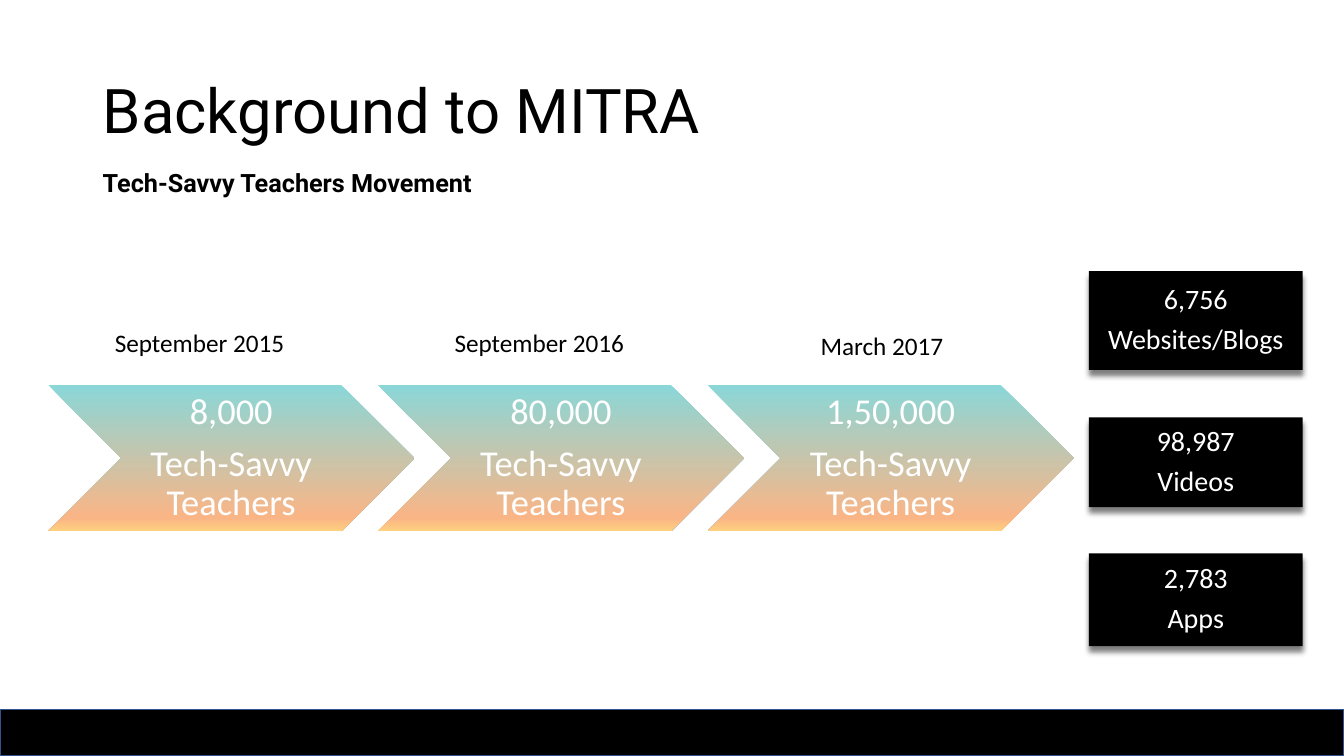
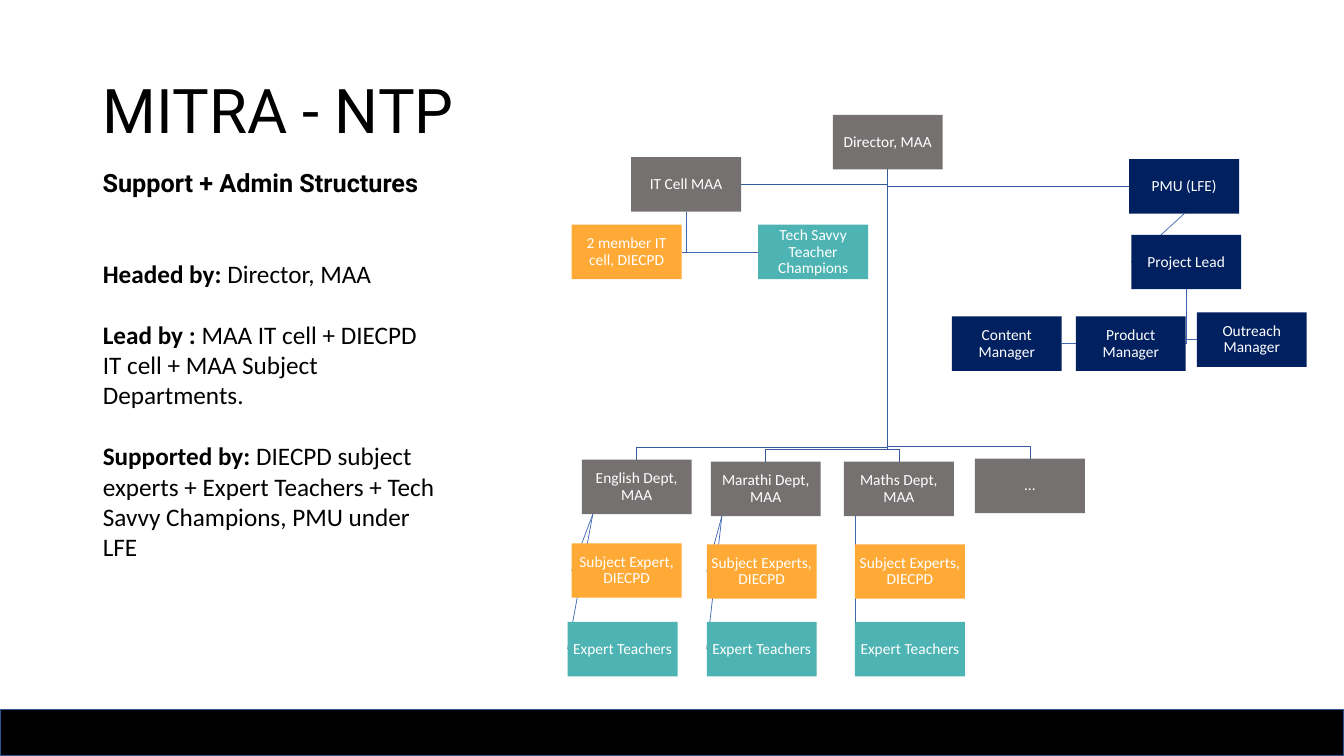
from dataclasses import dataclass

from lxml.etree import SubElement
from pptx import Presentation
from pptx.dml.color import RGBColor
from pptx.enum.shapes import MSO_CONNECTOR as CONNECTOR, MSO_SHAPE as SHAPE
from pptx.enum.text import MSO_ANCHOR as ANCHOR, MSO_AUTO_SIZE as AUTO_SIZE, PP_ALIGN as ALIGN
from pptx.oxml.ns import qn
from pptx.util import Inches, Pt

BLACK, WHITE = "000000", "FFFFFF"
GREY, NAVY, ORANGE, TEAL = "767171", "002060", "FFAA37", "4EB4B3"
BAND_EDGE, TRUNK_LINE, BRANCH_LINE = "325491", "365B9D", "3E67B2"
CHEVRON_STOPS = [(0, "8AD7D8"), (91, "FAB586"), (100, "FFD07F")]
HEADING_FONT, BODY_FONT = "Roboto", "Calibri"
PAGE_WIDTH, PAGE_HEIGHT = 13.33, 7.5
MARGIN = 0.92
NODE_WIDTH, NODE_HEIGHT = 1.09, 0.54


@dataclass
class Node:
    text: str
    left: float
    top: float
    colour: str

    @property
    def right(self):
        return self.left + NODE_WIDTH

    @property
    def bottom(self):
        return self.top + NODE_HEIGHT

    @property
    def centre(self):
        return self.left + NODE_WIDTH / 2

    @property
    def middle(self):
        return self.top + NODE_HEIGHT / 2


def rgb(colour):
    return RGBColor.from_string(colour)


def write_text(shape, paragraphs, size=18, colour=BLACK, font=BODY_FONT, bold=False,
               align=ALIGN.LEFT, spacing=1.0, gap=0, anchor=ANCHOR.TOP,
               insets=(0.1, 0.05), wrap=True):
    frame = shape.text_frame
    frame.word_wrap = wrap
    frame.auto_size = AUTO_SIZE.NONE
    frame.vertical_anchor = anchor
    frame.margin_left = frame.margin_right = Inches(insets[0])
    frame.margin_top = frame.margin_bottom = Inches(insets[1])
    for index, content in enumerate(paragraphs):
        para = frame.add_paragraph() if index else frame.paragraphs[0]
        para.alignment = align
        para.line_spacing = spacing
        para.space_before = Pt(gap if index else 0)
        para.space_after = Pt(0)
        spans = [(content, bold)] if isinstance(content, str) else content
        for text, is_bold in spans:
            span = para.add_run()
            span.text = text
            span.font.name = font
            span.font.size = Pt(size)
            span.font.bold = is_bold
            span.font.color.rgb = rgb(colour)


def write_centred(shape, paragraphs, size, **options):
    write_text(shape, paragraphs, size=size, colour=WHITE, align=ALIGN.CENTER,
               spacing=0.9, gap=round(size * 0.35), anchor=ANCHOR.MIDDLE, **options)


def place(shape, left, top, width, height):
    shape.left, shape.top = Inches(left), Inches(top)
    shape.width, shape.height = Inches(width), Inches(height)


def add_label(page, text, left, top, width, **options):
    box = page.shapes.add_textbox(Inches(left), Inches(top), Inches(width), Inches(0.4))
    write_text(box, [text], **options)


def add_block(page, kind, left, top, width, height, fill=None, line=None):
    block = page.shapes.add_shape(kind, Inches(left), Inches(top), Inches(width), Inches(height))
    block.shadow.inherit = False
    if fill:
        block.fill.solid()
        block.fill.fore_color.rgb = rgb(fill)
    if line:
        block.line.color.rgb = rgb(line)
        block.line.width = Pt(1)
    else:
        block.line.fill.background()
    return block


def add_colour_element(parent, tag, colour, **attributes):
    element = SubElement(parent, qn(tag), **attributes)
    SubElement(element, qn("a:srgbClr"), val=colour)


def add_chevron(page, left, count):
    chevron = add_block(page, SHAPE.CHEVRON, left, 3.82, 3.63, 1.45)
    chevron.fill.gradient()
    chevron.fill.gradient_angle = 270
    stops = chevron.element.spPr.find(qn("a:gradFill")).find(qn("a:gsLst"))
    for stop in list(stops):
        stops.remove(stop)
    for position, colour in CHEVRON_STOPS:
        add_colour_element(stops, "a:gs", colour, pos=str(position * 1000))
    write_centred(chevron, [count, "Tech-Savvy Teachers"], 26, insets=(0.08, 0.04))


def add_output_card(page, top, height, count, name):
    card = add_block(page, SHAPE.RECTANGLE, 10.8, top, 2.12, height, fill=BLACK)
    effects = card.element.spPr.find(qn("a:effectLst"))
    add_colour_element(effects, "a:outerShdw", "808080", blurRad=str(Pt(4)),
                       dist=str(Pt(4)), dir="5400000", rotWithShape="0")
    write_centred(card, [count, name], 20)


def add_straight(page, start, end):
    connector = page.shapes.add_connector(CONNECTOR.STRAIGHT, *map(Inches, start + end))
    connector.line.color.rgb = rgb(BRANCH_LINE)
    connector.line.width = Pt(0.5)
    SubElement(connector.element.spPr, qn("a:effectLst"))


def add_route(page, points, colour):
    start, *rest = [(Inches(x), Inches(y)) for x, y in points]
    builder = page.shapes.build_freeform(*start)
    builder.add_line_segments(rest, close=False)
    route = builder.convert_to_shape()
    route.shadow.inherit = False
    route.fill.background()
    route.line.color.rgb = rgb(colour)
    route.line.width = Pt(0.5)


def link_beside(page, parent, child, colour=BRANCH_LINE):
    edge = child.left if child.left > parent.centre else child.right
    add_route(page, [(parent.centre, parent.bottom), (parent.centre, child.middle),
                     (edge, child.middle)], colour)


def link_below(page, parent, child):
    bend = child.top - 0.12
    add_route(page, [(parent.centre, parent.bottom), (parent.centre, bend),
                     (child.centre, bend), (child.centre, child.top)], TRUNK_LINE)


def add_node(page, node):
    block = add_block(page, SHAPE.RECTANGLE, node.left, node.top,
                      NODE_WIDTH, NODE_HEIGHT, fill=node.colour)
    write_centred(block, [node.text], 11, insets=(0.01, 0.01))


def add_page(deck, layout, title, subtitle):
    page = deck.slides.add_slide(deck.slide_layouts[layout])
    place(page.shapes.title, MARGIN, 0.4, 11.5, 1.45)
    write_text(page.shapes.title, [title], size=44, font=HEADING_FONT,
               spacing=0.9, anchor=ANCHOR.MIDDLE)
    add_block(page, SHAPE.RECTANGLE, 0, 7.04, PAGE_WIDTH, 0.46, fill=BLACK, line=BAND_EDGE)
    add_label(page, subtitle, MARGIN, 1.61, 3.94, font=HEADING_FONT, bold=True, wrap=False)
    return page


def build_background(deck):
    page = add_page(deck, 5, "Background to MITRA", "Tech-Savvy Teachers Movement")
    milestones = [
        ("September 2015", 1.04, 3.2, "8,000"),
        ("September 2016", 4.41, 3.2, "80,000"),
        ("March 2017", 8.04, 3.23, "1,50,000"),
    ]
    for index, (date, left, top, count) in enumerate(milestones):
        add_chevron(page, 0.48 + index * 3.27, count)
        add_label(page, date, left, top, 2.17)
    for card in [
        (2.69, 0.98, "6,756", "Websites/Blogs"),
        (4.14, 0.89, "98,987", "Videos"),
        (5.49, 0.92, "2,783", "Apps"),
    ]:
        add_output_card(page, *card)


def write_roles(page):
    body = page.placeholders[1]
    place(body, MARGIN, 2.51, 3.51, 3.43)
    roles = [
        ("Headed by: ", "Director, MAA"),
        ("Lead by : ", "MAA IT cell + DIECPD IT cell + MAA Subject Departments."),
        ("Supported by: ", "DIECPD subject experts + Expert Teachers + "
                           "Tech Savvy Champions, PMU under LFE"),
    ]
    write_text(body, [[(role, True), (people, False)] for role, people in roles], gap=22)
    for para in body.text_frame.paragraphs:
        properties = para._p.get_or_add_pPr()
        properties.set("marL", "0")
        properties.set("indent", "0")
        SubElement(properties, qn("a:buNone"))


def build_structure(deck):
    page = add_page(deck, 1, "MITRA - NTP", "Support + Admin Structures")
    write_roles(page)

    director = Node("Director, MAA", 8.26, 1.14, GREY)
    it_cell = Node("IT Cell MAA", 6.26, 1.56, GREY)
    it_team = [Node("2 member IT cell, DIECPD", 5.67, 2.23, ORANGE),
               Node("Tech Savvy Teacher Champions", 7.52, 2.23, TEAL)]
    pmu = Node("PMU (LFE)", 11.2, 1.58, NAVY)
    lead = Node("Project Lead", 11.22, 2.33, NAVY)
    managers = [Node("Content Manager", 9.44, 3.14, NAVY),
                Node("Product Manager", 10.67, 3.14, NAVY),
                Node("Outreach Manager", 11.87, 3.1, NAVY)]
    departments = [
        (Node("English Dept, MAA", 5.77, 4.56, GREY),
         [Node("Subject Expert, DIECPD", 5.67, 5.39, ORANGE),
          Node("Expert Teachers", 5.63, 6.17, TEAL)]),
        (Node("Marathi Dept, MAA", 7.05, 4.58, GREY),
         [Node("Subject Experts, DIECPD", 7.01, 5.4, ORANGE),
          Node("Expert Teachers", 7.01, 6.17, TEAL)]),
        (Node("Maths Dept, MAA", 8.37, 4.58, GREY),
         [Node("Subject Experts, DIECPD", 8.48, 5.4, ORANGE),
          Node("Expert Teachers", 8.48, 6.17, TEAL)]),
        (Node("...", 9.67, 4.55, GREY), []),
    ]

    for child in (it_cell, pmu):
        link_beside(page, director, child, TRUNK_LINE)
    for parent, children in ((it_cell, it_team), (lead, managers)):
        for child in children:
            link_beside(page, parent, child)
    add_straight(page, (pmu.centre, pmu.bottom), (lead.left, lead.middle))
    nodes = [director, it_cell, *it_team, pmu, lead, *managers]
    for department, staff in departments:
        link_below(page, director, department)
        for member in staff:
            add_straight(page, (department.left + 0.11, department.bottom),
                         (member.left, member.middle))
        nodes += [department, *staff]
    for node in nodes:
        add_node(page, node)


def main():
    deck = Presentation()
    deck.slide_width, deck.slide_height = Inches(PAGE_WIDTH), Inches(PAGE_HEIGHT)
    build_background(deck)
    build_structure(deck)
    deck.save("out.pptx")


if __name__ == "__main__":
    main()
